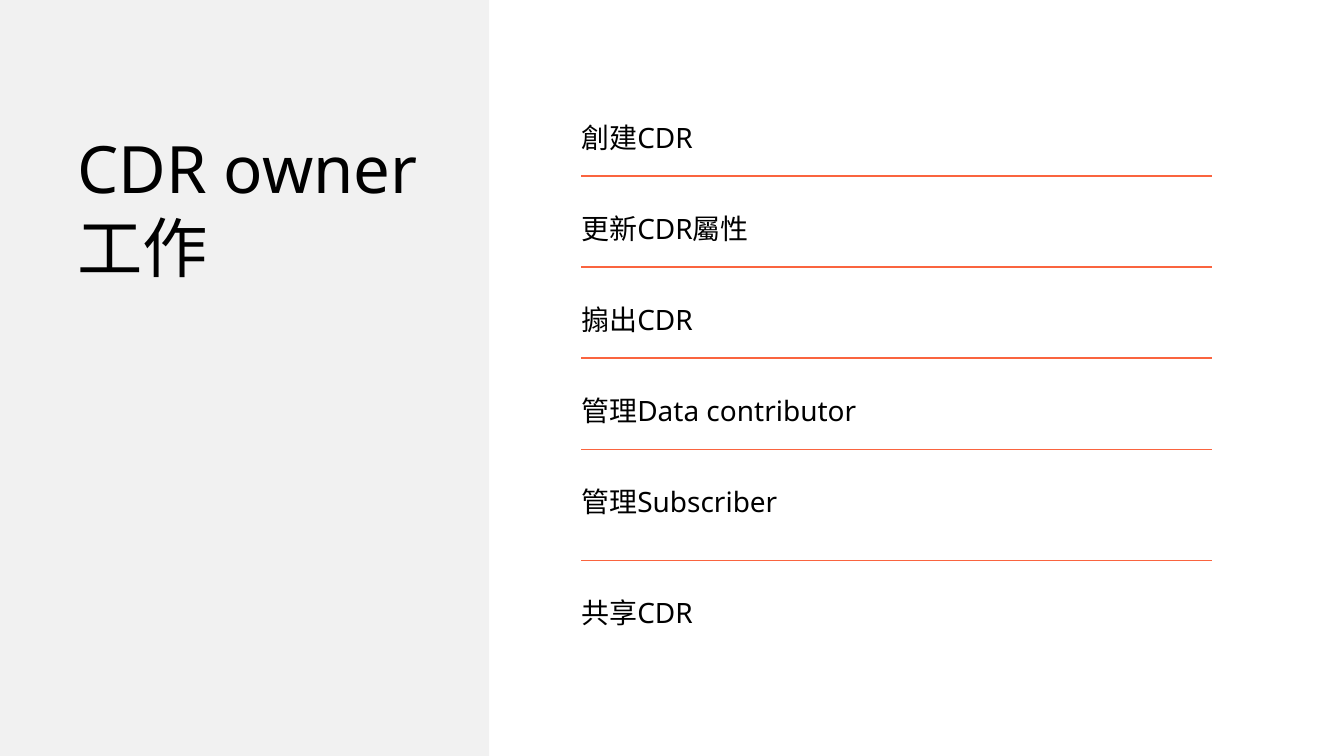
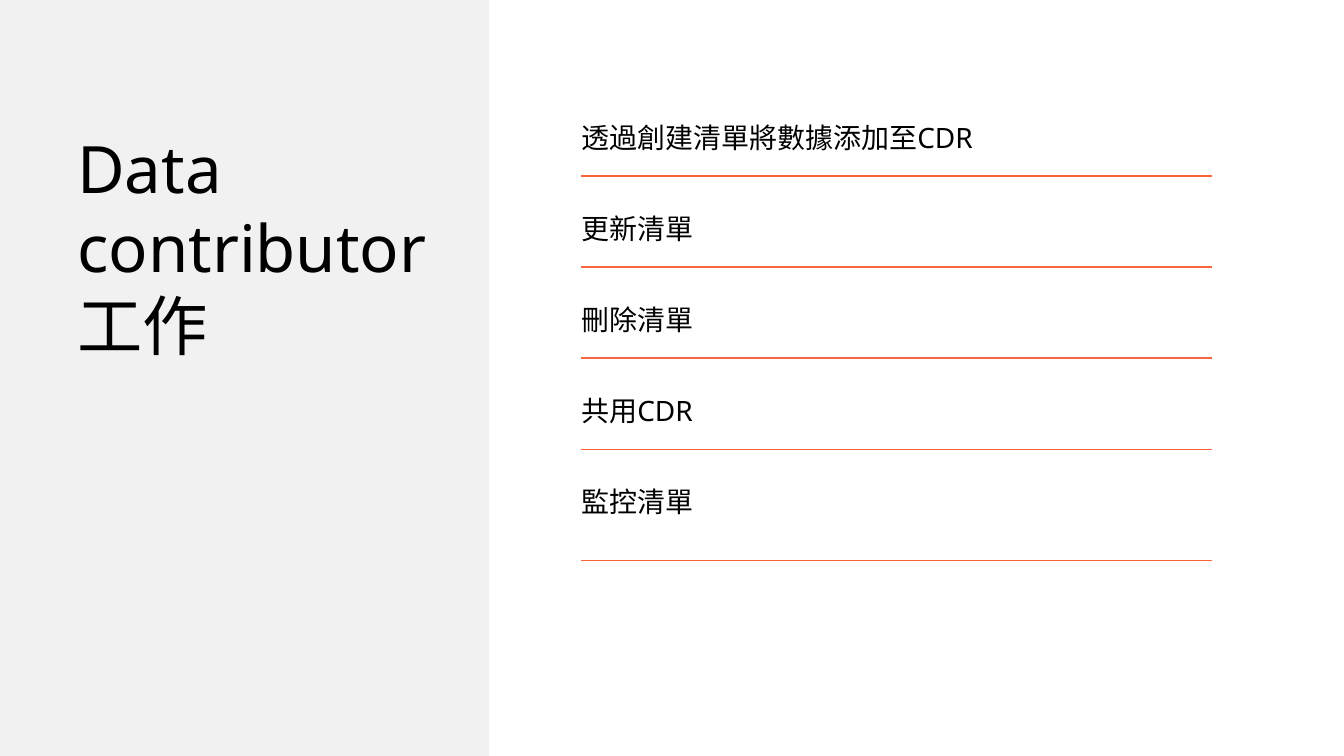
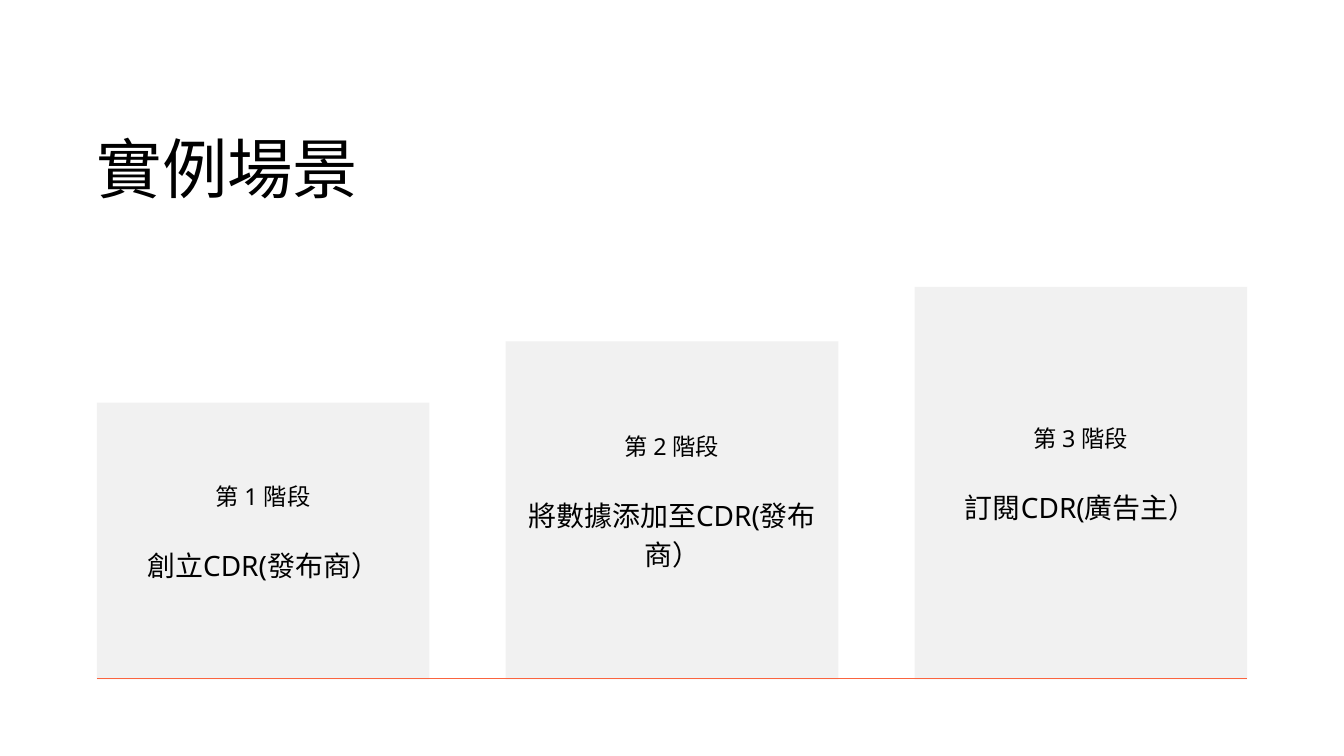
from lxml import etree
from pptx import Presentation
from pptx import util as u
from pptx.dml.color import RGBColor
from pptx.enum import shapes, text
from pptx.oxml.ns import qn

FONT, INK, GREY, ORANGE = "Noto Sans", "000000", "F1F1F1", "FA643F"
WIDTH, HEIGHT = 20, 11.25
TITLE_SIZE, BODY_SIZE, LABEL_SIZE = 70, 30, 25

# title, title width, title lines, tasks
TASK_SLIDES = [
    ("CDR owner 工作", 5.62, 3,
     ["創建CDR", "更新CDR屬性", "搧出CDR", "管理Data contributor", "管理Subscriber", "共享CDR"]),
    ("Data contributor 工作", 6.13, 4,
     ["透過創建清單將數據添加至CDR", "更新清單", "刪除清單", "共用CDR", "監控清單"]),
]
STAGE_TITLE = "實例場景"
# label, step, height of the bar
STAGES = [
    ("第 1 階段", "創立CDR(發布商）", 4.12),
    ("第 2 階段", "將數據添加至CDR(發布商）", 5.03),
    ("第 3 階段", "訂閱CDR(廣告主）", 5.84),
]

PANEL_W, TITLE_TOP, TITLE_LINE = 7.28, 1.91, 1.15
LIST_X, LIST_W, LIST_TOP = 8.65, 9.39, 1.79
ROW_H, ROW_PITCH, RULE_DROP = 0.51, 1.355, 0.83
LONG_ROW, LONG_EXTRA = 4, 0.3
MARGIN, BAR_W, BASELINE = 1.44, 4.95, 10.11
BAR_INSET, BAR_LIFT = 0.06, 0.33


def inches(*lengths):
    return [u.Inches(n) for n in lengths]


def color(hex_string):
    return RGBColor.from_string(hex_string)


def style(p, size, spacing, align=text.PP_ALIGN.LEFT):
    p.alignment = align
    p.line_spacing = u.Pt(spacing)
    for r in p.runs:
        r.font.name = FONT
        r.font.size = u.Pt(size)
        r.font.color.rgb = color(INK)


def set_frame(tf, anchor, left=0, top=0, right=0, bottom=0):
    tf.word_wrap = True
    tf.auto_size = text.MSO_AUTO_SIZE.NONE
    tf.vertical_anchor = anchor
    tf.margin_left, tf.margin_top, tf.margin_right, tf.margin_bottom = inches(left, top, right, bottom)


def fill_line(sp, words, size):
    """Write one top-anchored paragraph with line spacing of 1.2 times its size."""
    set_frame(sp.text_frame, text.MSO_ANCHOR.TOP)
    sp.text_frame.text = words
    style(sp.text_frame.paragraphs[0], size, size * 1.2)


def add_slide(prs, title, x, w, lines):
    s = prs.slides.add_slide(prs.slide_layouts[5])
    sp = s.shapes.title
    sp.left, sp.top, sp.width, sp.height = inches(x, TITLE_TOP, w, lines * TITLE_LINE)
    fill_line(sp, title, TITLE_SIZE)
    return s


def add_block(s, x, y, w, h):
    sp = s.shapes.add_shape(shapes.MSO_SHAPE.RECTANGLE, *inches(x, y, w, h))
    sp.shadow.inherit = False
    sp.fill.solid()
    sp.fill.fore_color.rgb = color(GREY)
    sp.line.fill.background()
    return sp


def add_rule(s, x, y, w):
    line = s.shapes.add_connector(shapes.MSO_CONNECTOR.STRAIGHT, *inches(x, y, x + w, y))
    line.line.color.rgb = color(ORANGE)
    line.line.width = u.Pt(1.5)
    etree.SubElement(line._element.spPr, qn("a:effectLst"))


def add_task_slide(prs, title, title_w, lines, tasks):
    s = add_slide(prs, title, 1.15, title_w, lines)
    panel = add_block(s, 0, 0, PANEL_W, HEIGHT)
    s.shapes._spTree.insert(2, panel._element)  # behind the title
    for i, task in enumerate(tasks):
        y = LIST_TOP + i * ROW_PITCH + (LONG_EXTRA if i > LONG_ROW else 0)
        sp = s.shapes.add_textbox(*inches(LIST_X, y, LIST_W, ROW_H))
        fill_line(sp, task, BODY_SIZE)
        if i <= LONG_ROW:
            extra = LONG_EXTRA if i == LONG_ROW else 0
            add_rule(s, LIST_X, y + RULE_DROP + extra, LIST_W)


def add_stage_slide(prs):
    s = add_slide(prs, STAGE_TITLE, MARGIN, 8.85, 1)
    span = WIDTH - 2 * MARGIN
    pitch = (span - BAR_W) / (len(STAGES) - 1)
    for i, (label, step, h) in enumerate(STAGES):
        tf = add_block(s, MARGIN + i * pitch, BASELINE - h, BAR_W, h).text_frame
        set_frame(tf, text.MSO_ANCHOR.MIDDLE, BAR_INSET, BAR_INSET, BAR_INSET, BAR_INSET + BAR_LIFT)
        tf.text = label
        style(tf.paragraphs[0], LABEL_SIZE, LABEL_SIZE * 1.4, text.PP_ALIGN.CENTER)
        p = tf.add_paragraph()
        p.text = step
        p.space_before = u.Pt(LABEL_SIZE * 1.4)
        style(p, BODY_SIZE, BODY_SIZE * 1.4, text.PP_ALIGN.CENTER)
    add_rule(s, MARGIN, BASELINE - 0.01, span)


def main():
    prs = Presentation()
    prs.slide_width, prs.slide_height = inches(WIDTH, HEIGHT)
    for content in TASK_SLIDES:
        add_task_slide(prs, *content)
    add_stage_slide(prs)
    prs.save("out.pptx")


if __name__ == "__main__":
    main()
